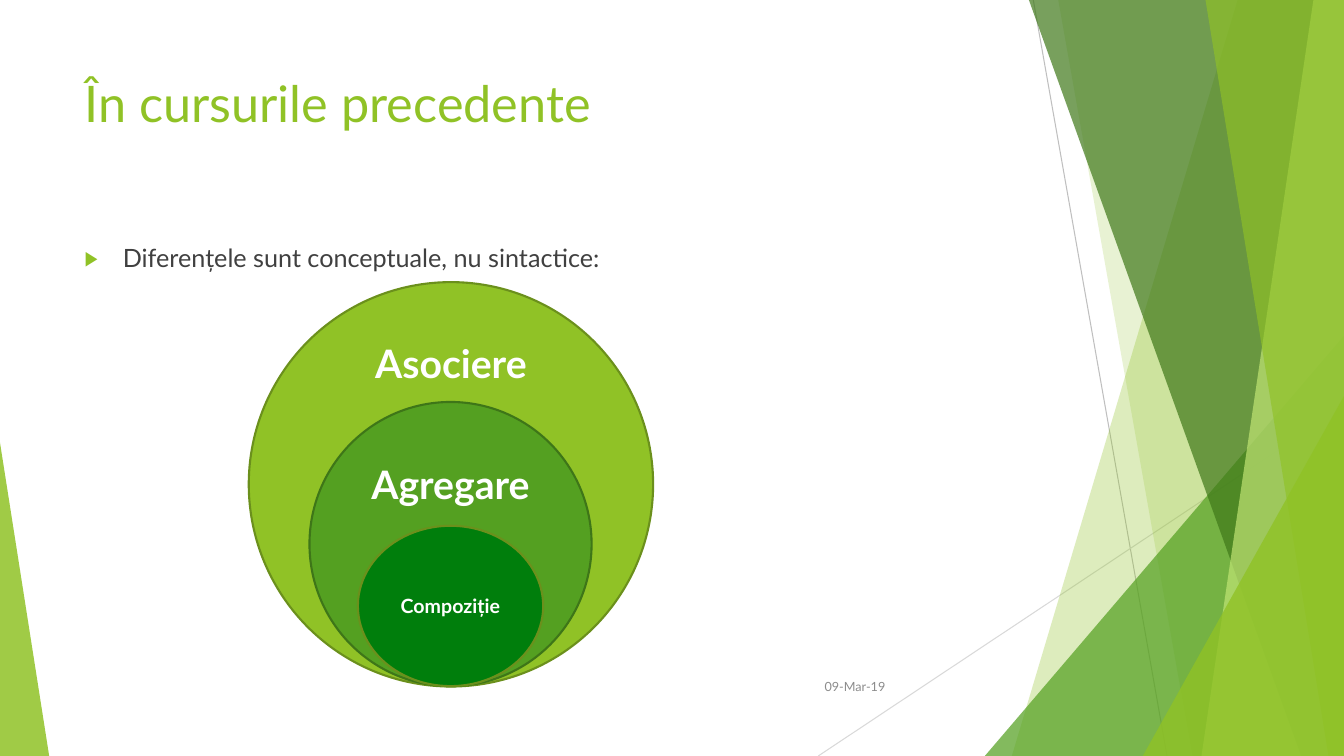
from lxml import etree
from pptx import Presentation
from pptx.dml.color import RGBColor
from pptx.enum.shapes import MSO_CONNECTOR, MSO_SHAPE
from pptx.enum.text import MSO_ANCHOR, MSO_AUTO_SIZE, PP_ALIGN
from pptx.oxml.ns import qn
from pptx.util import Cm, Pt

STRAIGHT = MSO_CONNECTOR.STRAIGHT
TRIANGLE, OVAL = MSO_SHAPE.ISOSCELES_TRIANGLE, MSO_SHAPE.OVAL
TOP, MIDDLE = MSO_ANCHOR.TOP, MSO_ANCHOR.MIDDLE
LEFT, CENTER, RIGHT = PP_ALIGN.LEFT, PP_ALIGN.CENTER, PP_ALIGN.RIGHT
FIXED = MSO_AUTO_SIZE.NONE

WIDTH, HEIGHT = 33.87, 19.05
FONT = "Lato"
COLORS = {
    "lime": "90C226", "green": "54A021", "forest": "3F7819", "pale": "C0E474",
    "deep": "007E0C", "lime_edge": "6B901C", "green_edge": "3E7618",
    "text": "404040", "date": "8C8C8C", "white": "FFFFFF",
    "rule": "BFBFBF", "light_rule": "D9D9D9",
}

TITLE = "În cursurile precedente"
POINT = "Diferențele sunt conceptuale, nu sintactice:"
DATE = "09-Mar-19"

RULES = [
    (26.04, 0, 29.41, HEIGHT, "rule"),
    (WIDTH, 10.24, 20.62, HEIGHT, "light_rule"),
]
FACETS = [
    ("band", 31.19, 25.5, "lime", 30),
    ("band", 26.67, 30.05, "lime", 20),
    ("corner", 24.82, 8.46, "green", 72),
    ("band", 25.93, 32.79, "forest", 70),
    ("band", 33.1, 30.28, "pale", 70),
    ("band", 30.38, 33.48, "lime", 65),
    ("corner", 28.8, 9.98, "lime", 80),
]
LEFT_WEDGE = (1.24, 11.15, "lime", 85)

CIRCLES = [
    ("Asociere", 6.27, 7.11, 10.19, 10.19, "lime", "lime_edge", 28, TOP, -0.05),
    ("Agregare", 7.8, 10.13, 7.11, 7.16, "green", "green_edge", 28, TOP, 0.42),
    ("Compoziție", 9.02, 13.25, 4.67, 4.04, "deep", "lime_edge", 14, MIDDLE, 0.13),
]


def rgb(name):
    return RGBColor.from_string(COLORS[name])


def paint(shape, color, opacity=100):
    shape.shadow.inherit = False
    shape.fill.solid()
    shape.fill.fore_color.rgb = rgb(color)
    if opacity < 100:
        fill = shape.fill._xPr.find(qn("a:solidFill"))
        etree.SubElement(fill[0], qn("a:alpha"), val=str(opacity * 1000))
        shape.line.fill.background()


def place(shape, left, top, width, height):
    for side, length in dict(left=left, top=top, width=width, height=height).items():
        setattr(shape, side, Cm(length))


def write(shape, text, size, color, align, anchor, bold=False):
    frame = shape.text_frame
    frame_format = dict(text=text, word_wrap=True, auto_size=FIXED,
                        vertical_anchor=anchor)
    for key, value in frame_format.items():
        setattr(frame, key, value)
    paragraph = frame.paragraphs[0]
    paragraph.alignment = align
    font = paragraph.runs[0].font
    for key, value in dict(name=FONT, size=Pt(size), bold=bold).items():
        setattr(font, key, value)
    font.color.rgb = rgb(color)
    return paragraph


def add_bullet(paragraph):
    paragraph.space_before = Pt(10)
    properties = paragraph._p.get_or_add_pPr()
    properties.set("marL", str(Cm(0.96)))
    properties.set("indent", str(Cm(-0.96)))
    bullet_color = etree.SubElement(properties, qn("a:buClr"))
    etree.SubElement(bullet_color, qn("a:srgbClr"), val=COLORS["lime"])
    etree.SubElement(properties, qn("a:buSzPct"), val="80000")
    etree.SubElement(properties, qn("a:buFont"), typeface=FONT)
    etree.SubElement(properties, qn("a:buChar"), char="▶")


def add_wedge(shapes, left, top, width, apex, color, opacity):
    wedge = shapes.add_shape(TRIANGLE, Cm(left), Cm(top), Cm(width), Cm(HEIGHT - top))
    wedge.adjustments[0] = apex
    paint(wedge, color, opacity)


def add_band(shapes, top_x, bottom_x, color, opacity):
    builder = shapes.build_freeform(Cm(top_x), 0)
    corners = [(WIDTH, 0), (WIDTH, HEIGHT), (bottom_x, HEIGHT)]
    builder.add_line_segments([(Cm(x), Cm(y)) for x, y in corners], close=True)
    paint(builder.convert_to_shape(), color, opacity)


def add_backdrop(shapes):
    for x1, y1, x2, y2, color in RULES:
        rule = shapes.add_connector(STRAIGHT, Cm(x1), Cm(y1), Cm(x2), Cm(y2))
        rule.line.color.rgb = rgb(color)
        rule.line.width = Pt(0.75)
        etree.SubElement(rule._element.spPr, qn("a:effectLst"))
    for kind, first, second, color, opacity in FACETS:
        if kind == "band":
            add_band(shapes, first, second, color, opacity)
        else:
            add_wedge(shapes, first, second, WIDTH - first, 1, color, opacity)
    width, top, color, opacity = LEFT_WEDGE
    add_wedge(shapes, 0, top, width, 0, color, opacity)


def add_circles(shapes):
    for label, left, top, width, height, fill, edge, size, anchor, margin in CIRCLES:
        circle = shapes.add_shape(OVAL, Cm(left), Cm(top), Cm(width), Cm(height))
        paint(circle, fill)
        circle.line.color.rgb = rgb(edge)
        circle.line.width = Pt(1.5)
        write(circle, label, size, "white", CENTER, anchor, bold=True)
        circle.text_frame.margin_top = Cm(margin)


def main():
    deck = Presentation()
    deck.slide_width, deck.slide_height = Cm(WIDTH), Cm(HEIGHT)
    slide = deck.slides.add_slide(deck.slide_layouts[1])
    shapes = slide.shapes
    add_backdrop(shapes)

    title, body = slide.placeholders
    place(title, 1.88, 1.7, 23.88, 3.66)
    write(title, TITLE, 36, "lime", LEFT, TOP)
    place(body, 1.88, 5.99, 23.88, 10.77)
    add_bullet(write(body, POINT, 18, "text", LEFT, TOP))

    date = shapes.add_textbox(Cm(20.02), Cm(16.79), Cm(2.54), Cm(1.02))
    write(date, DATE, 9, "date", RIGHT, MIDDLE)
    add_circles(shapes)
    deck.save("out.pptx")


if __name__ == "__main__":
    main()
